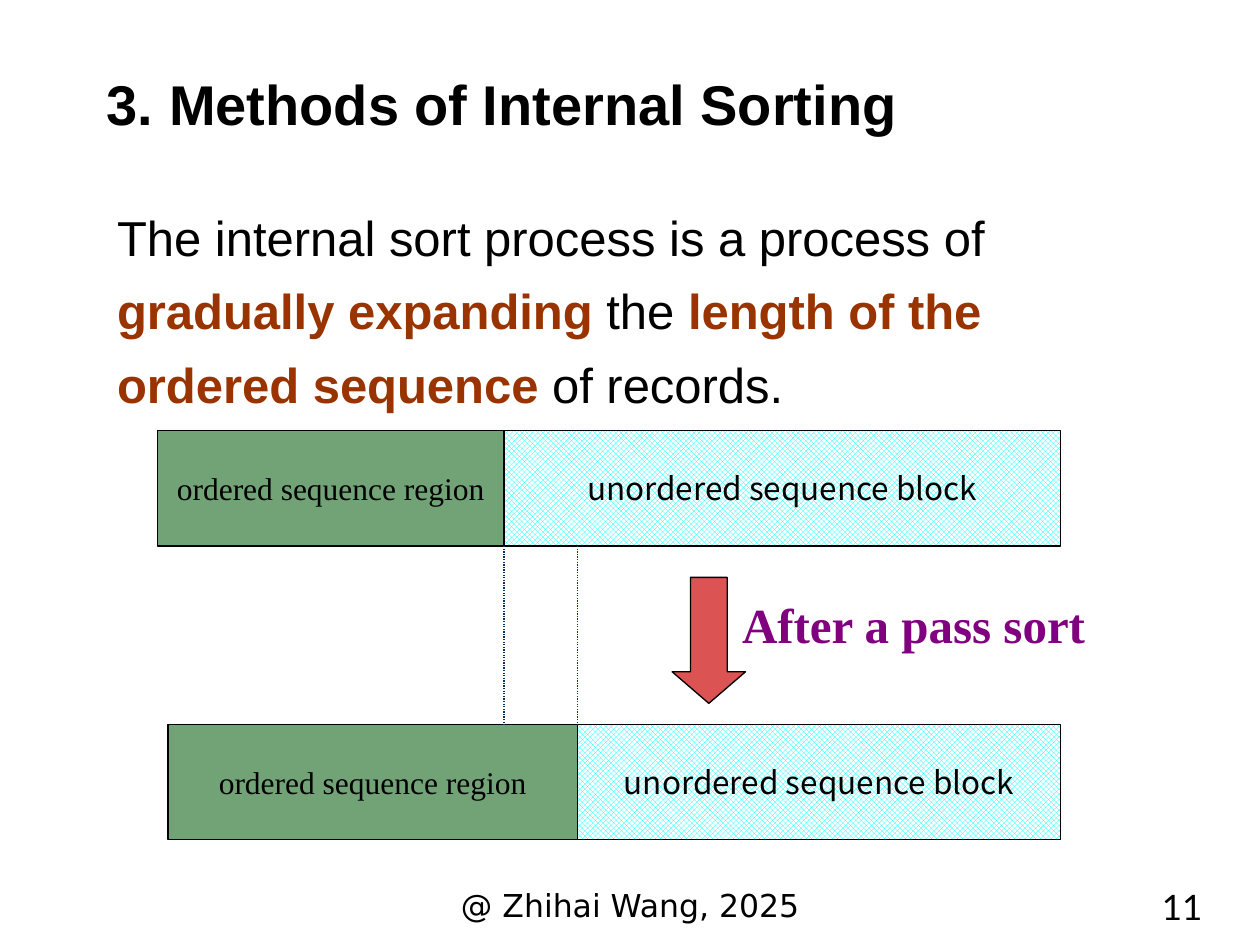
"""Build the slide that shows how internal sorting expands the ordered region."""
from dataclasses import dataclass

import pptx
import pptx.dml.color
import pptx.enum.dml
import pptx.enum.shapes
import pptx.enum.text
import pptx.oxml
import pptx.util

Cm = pptx.util.Cm
Pt = pptx.util.Pt
ALIGN = pptx.enum.text.PP_ALIGN
ANCHOR = pptx.enum.text.MSO_ANCHOR
SHAPE = pptx.enum.shapes.MSO_SHAPE


@dataclass(frozen=True)
class Theme:
    black: str = "000000"
    white: str = "FFFFFF"
    emphasis: str = "993300"
    caption: str = "800080"
    ordered: str = "72A376"
    unordered: str = "00FFFF"
    arrow: str = "DB5353"
    guide: str = "003366"
    sans: str = "Arial"
    serif: str = "Times New Roman"
    block: str = "Noto Sans CJK SC"
    footer: str = "DejaVu Sans"
    number: str = "Lato"
    title_size: int = 32
    body_size: int = 28
    number_size: int = 20
    label_size: int = 18
    line_width: float = 0.75


THEME = Theme()


def rgb(color):
    return pptx.dml.color.RGBColor.from_string(color)


def format_run(r, font, size, color=THEME.black, bold=False):
    r.font.name = font
    r.font.size = Pt(size)
    r.font.bold = bold
    r.font.color.rgb = rgb(color)


def set_line(line, color):
    line.color.rgb = rgb(color)
    line.width = Pt(THEME.line_width)


def set_title(s, text):
    sp = s.shapes.title
    sp.left, sp.top, sp.width, sp.height = Cm(1.9), Cm(1.27), Cm(18.29), Cm(1.63)
    tf = sp.text_frame
    tf.text = text
    tf.vertical_anchor = ANCHOR.TOP
    tf.auto_size = pptx.enum.text.MSO_AUTO_SIZE.NONE
    p = tf.paragraphs[0]
    p.alignment = ALIGN.LEFT
    format_run(p.runs[0], THEME.sans, THEME.title_size, bold=True)


def add_text(s, left, top, width, height, runs, font, size, align=ALIGN.LEFT):
    sp = s.shapes.add_textbox(Cm(left), Cm(top), Cm(width), Cm(height))
    sp.text_frame.word_wrap = True
    p = sp.text_frame.paragraphs[0]
    p.alignment = align
    for text, color, bold in runs:
        r = p.add_run()
        r.text = text
        format_run(r, font, size, color, bold)
    return p


def add_shape(s, kind, left, top, width, height):
    sp = s.shapes.add_shape(kind, Cm(left), Cm(top), Cm(width), Cm(height))
    sp.shadow.inherit = False
    set_line(sp.line, THEME.black)
    return sp


def add_block(s, left, top, width, height, text, font):
    sp = add_shape(s, SHAPE.RECTANGLE, left, top, width, height)
    tf = sp.text_frame
    tf.text = text
    tf.word_wrap = False
    tf.vertical_anchor = ANCHOR.MIDDLE
    p = tf.paragraphs[0]
    p.alignment = ALIGN.CENTER
    format_run(p.runs[0], font, THEME.label_size)
    return sp


def add_sequence(s, left, split, right, top, height):
    sp = add_block(s, left, top, split - left, height,
                   "ordered sequence region", THEME.serif)
    sp.fill.solid()
    sp.fill.fore_color.rgb = rgb(THEME.ordered)
    sp = add_block(s, split, top, right - split, height,
                   "unordered sequence block", THEME.block)
    sp.fill.patterned()
    sp.fill.pattern = pptx.enum.dml.MSO_PATTERN.TRELLIS
    sp.fill.fore_color.rgb = rgb(THEME.unordered)
    sp.fill.back_color.rgb = rgb(THEME.white)


def add_down_arrow(s, left, top, width, height):
    sp = add_shape(s, SHAPE.DOWN_ARROW, left, top, width, height)
    sp.adjustments[0] = 0.5
    sp.adjustments[1] = 0.43
    sp.fill.solid()
    sp.fill.fore_color.rgb = rgb(THEME.arrow)


def add_guide(s, x, top, bottom):
    straight = pptx.enum.shapes.MSO_CONNECTOR.STRAIGHT
    sp = s.shapes.add_connector(straight, Cm(x), Cm(top), Cm(x), Cm(bottom))
    set_line(sp.line, THEME.guide)
    sp.line.dash_style = pptx.enum.dml.MSO_LINE.ROUND_DOT
    effects = pptx.oxml.ns.qn("a:effectLst")
    sp._element.spPr.append(sp._element.spPr.makeelement(effects))


def main():
    prs = pptx.Presentation()
    prs.slide_width, prs.slide_height = Cm(25.4), Cm(19.05)
    s = prs.slides.add_slide(prs.slide_layouts[5])

    set_title(s, "3. Methods of Internal Sorting")
    p = add_text(s, 2.11, 3.76, 21.79, 4.75, [
        ("The internal sort process is a process of ", THEME.black, False),
        ("gradually expanding", THEME.emphasis, True),
        (" the ", THEME.black, False),
        ("length of the ordered sequence", THEME.emphasis, True),
        (" of records.", THEME.black, False),
    ], THEME.sans, THEME.body_size)
    p.line_spacing = 1.25
    add_text(s, 14.71, 11.86, 10.59, 1.45,
             [("After a pass sort", THEME.caption, True)],
             THEME.serif, THEME.body_size)

    before_top, after_top, height, right = 8.68, 14.6, 2.33, 21.38
    before_split, after_split = 10.16, 11.64
    add_sequence(s, 3.18, before_split, right, before_top, height)
    add_sequence(s, 3.39, after_split, right, after_top, height)
    add_down_arrow(s, 13.55, 11.64, 1.48, 2.54)
    for x in (before_split, after_split):
        add_guide(s, x, before_top + height, after_top)

    add_text(s, 8.68, 17.73, 8.05, 1,
             [("@ Zhihai Wang, 2025", THEME.black, False)],
             THEME.footer, THEME.label_size, ALIGN.CENTER)
    add_text(s, 20.6, 17.73, 3.89, 1, [("11", THEME.black, False)],
             THEME.number, THEME.number_size, ALIGN.RIGHT)

    prs.save("out.pptx")


if __name__ == "__main__":
    main()
